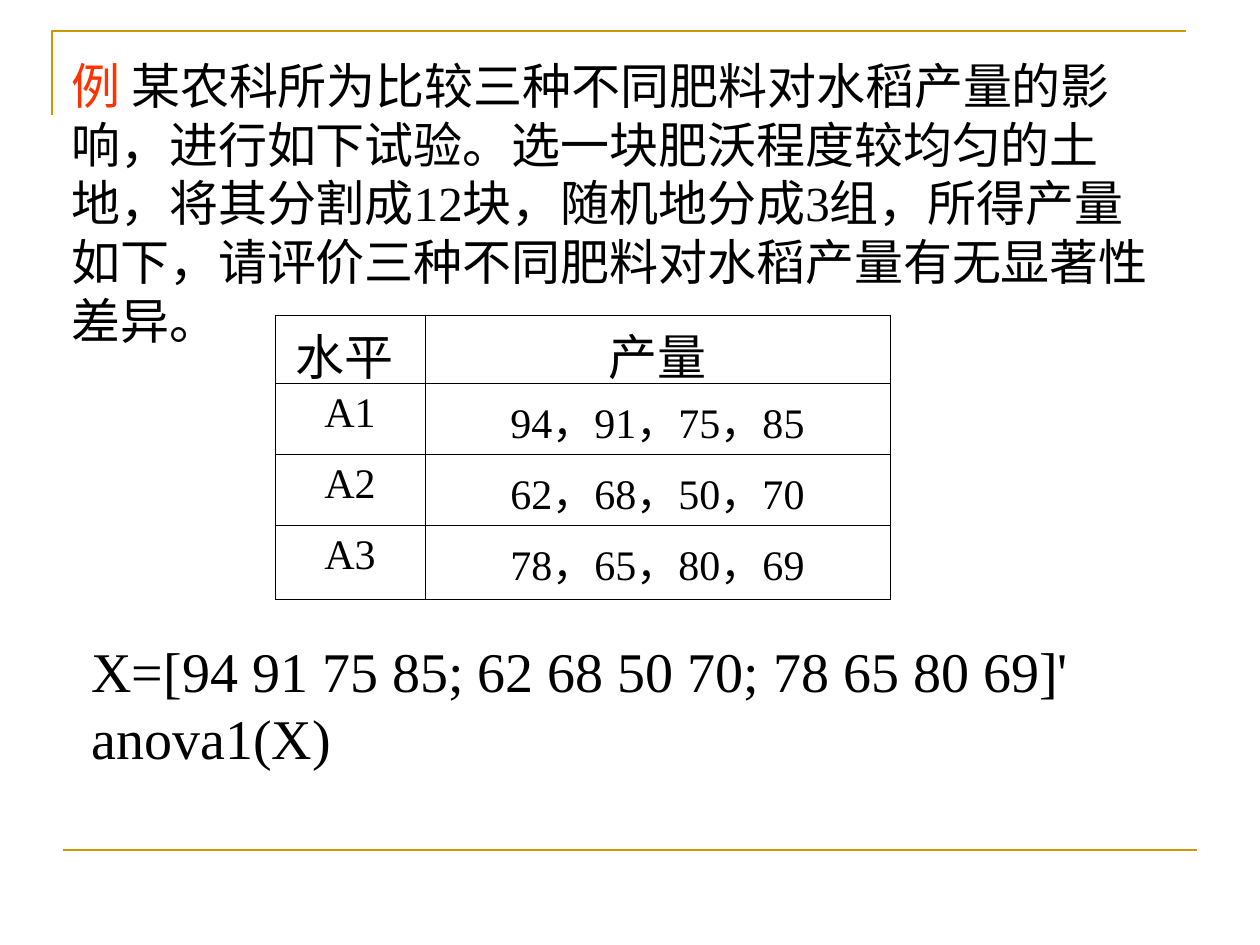
from lxml import etree
from pptx import Presentation
from pptx.dml.color import RGBColor
from pptx.enum.shapes import MSO_CONNECTOR
from pptx.enum.text import MSO_ANCHOR, PP_ALIGN
from pptx.oxml.ns import qn
from pptx.util import Emu, Pt

STRAIGHT = MSO_CONNECTOR.STRAIGHT
CENTER, LEFT = PP_ALIGN.CENTER, PP_ALIGN.LEFT
TOP, MIDDLE = MSO_ANCHOR.TOP, MSO_ANCHOR.MIDDLE
SERIF, SANS = "Times New Roman", "Arial"
GOLD, BLACK, RED = "CC9900", "000000", "FF3300"
RULE = 1.6

QUESTION = [
    ("例 ", RED),
    ("某农科所为比较三种不同肥料对水稻产量的影响，进行如下试验。"
     "选一块肥沃程度较均匀的土地，将其分割成12块，随机地分成3组，所得产量如下，"
     "请评价三种不同肥料对水稻产量有无显著性差异。", BLACK),
]
CODE = ["X=[94 91 75 85; 62 68 50 70; 78 65 80 69]'", "anova1(X)"]
YIELDS = [
    ("A1", [94, 91, 75, 85]),
    ("A2", [62, 68, 50, 70]),
    ("A3", [78, 65, 80, 69]),
]
COLS, ROWS = [150, 465], [68, 71, 71, 74]
FRAME = [(52, 115), (52, 31), (1186, 31)]
LINES = [((63, 850), (1197, 850), GOLD, RULE), ((702, 450), (702, 450), BLACK, 0.75)]


def px(n):
    return Emu(round(n * 914400 / 126))


def rgb(value):
    return RGBColor.from_string(value)


def set_font(font, size, name=SERIF, color=BLACK):
    font.size, font.name = Pt(size), name
    font.color.rgb = rgb(color)


def add_line(slide, start, end, color, width):
    c = slide.shapes.add_connector(STRAIGHT, *map(px, start + end))
    c.line.color.rgb, c.line.width = rgb(color), Pt(width)
    etree.SubElement(c._element.spPr, qn("a:effectLst"))


def add_frame(slide):
    builder = slide.shapes.build_freeform(*map(px, FRAME[0]))
    builder.add_line_segments([tuple(map(px, pt)) for pt in FRAME[1:]], close=False)
    sp = builder.convert_to_shape()
    sp.shadow.inherit = False
    sp.fill.background()
    sp.line.color.rgb, sp.line.width = rgb(GOLD), Pt(RULE)


def add_text(slide, box, paragraphs, size):
    tf = slide.shapes.add_textbox(*map(px, box)).text_frame
    tf.word_wrap = True
    for i, runs in enumerate(paragraphs):
        p = tf.add_paragraph() if i else tf.paragraphs[0]
        p._p.get_or_add_pPr().set("hangingPunct", "0")
        set_font(p.font, size)
        for text, color in runs:
            r = p.add_run()
            r.text = text
            set_font(r.font, size, color=color)


def fill_cell(cell, runs, align=CENTER, anchor=TOP, spacing=1.0):
    tc_pr = cell._tc.get_or_add_tcPr()
    for side in ("lnL", "lnR", "lnT", "lnB"):
        ln = etree.SubElement(tc_pr, qn(f"a:{side}"), w=str(Pt(0.45)))
        solid = etree.SubElement(ln, qn("a:solidFill"))
        etree.SubElement(solid, qn("a:srgbClr"), val=BLACK)
    cell.fill.background()
    cell.vertical_anchor = anchor
    p = cell.text_frame.paragraphs[0]
    p.alignment, p.line_spacing = align, spacing
    for text, size, name in runs:
        r = p.add_run()
        r.text = text
        set_font(r.font, size, name)


def add_yields(slide):
    box = (275, 315, sum(COLS), sum(ROWS))
    table = slide.shapes.add_table(len(ROWS), len(COLS), *map(px, box)).table
    table.first_row = table.horz_banding = False
    for col, width in zip(table.columns, COLS):
        col.width = px(width)
    for row, height in zip(table.rows, ROWS):
        row.height = px(height)
    fill_cell(table.cell(0, 0), [(" ", 20, SERIF), ("水平", 28, SERIF)], LEFT, spacing=0.95)
    fill_cell(table.cell(0, 1), [("产量", 28, SANS)], anchor=MIDDLE, spacing=0.95)
    for i, (level, values) in enumerate(YIELDS, 1):
        for j, text in enumerate((level, "，".join(map(str, values)))):
            fill_cell(table.cell(i, j), [(text, 24, SERIF)])


def main():
    """Build the one-way ANOVA fertiliser example slide."""
    prs = Presentation()
    prs.slide_width, prs.slide_height = px(1260), px(945)
    s = prs.slides.add_slide(prs.slide_layouts[6])
    add_frame(s)
    for line in LINES:
        add_line(s, *line)
    add_text(s, (59, 49, 1124, 248), [QUESTION], 28)
    add_yields(s)
    add_text(s, (79, 630, 1142, 147), [[(text, BLACK)] for text in CODE], 32)
    prs.save("out.pptx")


if __name__ == "__main__":
    main()
